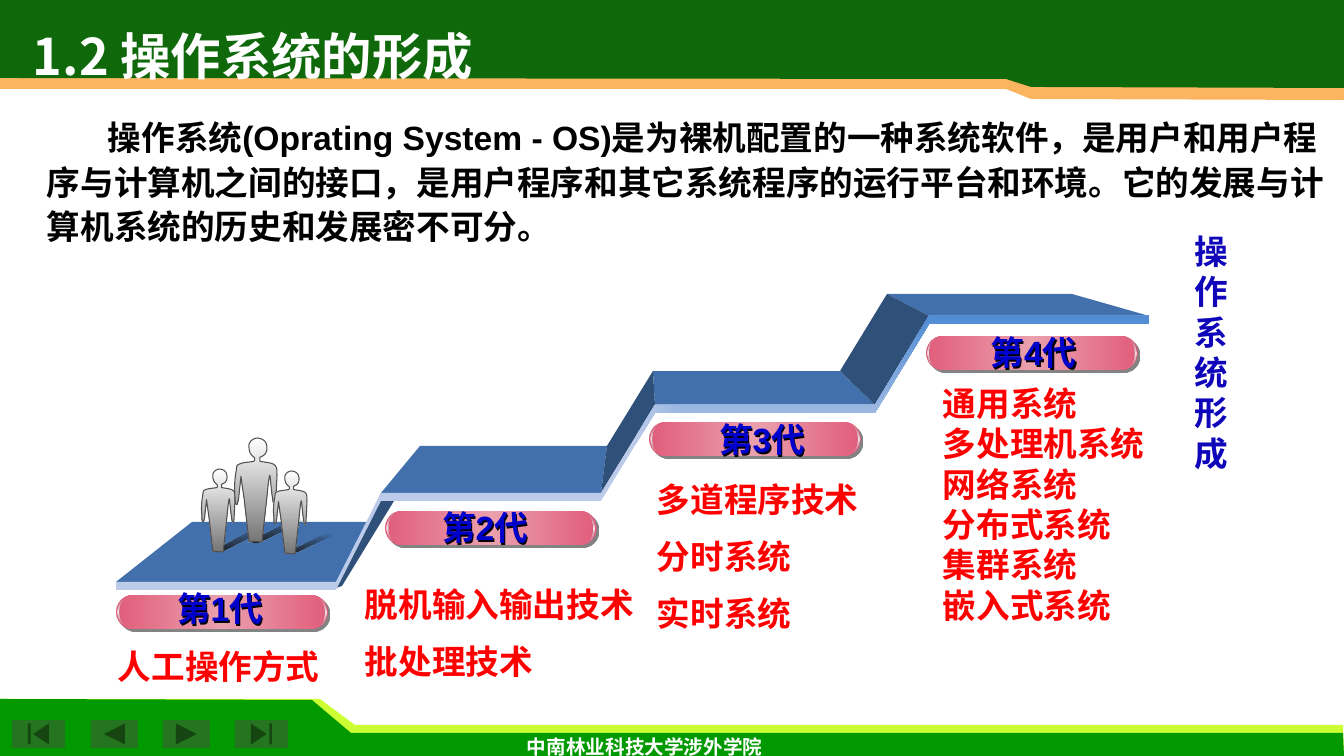
from dataclasses import dataclass

from lxml import etree
from pptx import Presentation
from pptx.dml.color import RGBColor
from pptx.enum.shapes import MSO_SHAPE
from pptx.enum.text import PP_ALIGN
from pptx.oxml.ns import qn
from pptx.util import Pt

EMU_PER_PX = 12192000 / 1344
PILL, MOON = MSO_SHAPE.ROUNDED_RECTANGLE, MSO_SHAPE.MOON
FIRST, PREVIOUS = MSO_SHAPE.ACTION_BUTTON_BEGINNING, MSO_SHAPE.ACTION_BUTTON_BACK_OR_PREVIOUS
NEXT, LAST = MSO_SHAPE.ACTION_BUTTON_FORWARD_OR_NEXT, MSO_SHAPE.ACTION_BUTTON_END
LEFT, CENTER = PP_ALIGN.LEFT, PP_ALIGN.CENTER


@dataclass(frozen=True)
class Theme:
    latin: str = "Arial"
    chinese: str = "Noto Sans CJK SC"
    title: int = 36
    body: int = 24
    footer: int = 14
    white: str = "FFFFFF"
    black: str = "000000"
    red: str = "FF0000"
    label: str = "0000CC"
    side: str = "0F06BA"
    header: str = "0F690B"
    orange: str = "FBB561"
    lime: str = "CCFF33"
    green: str = "009900"
    button: str = "25741F"
    tread: str = "4270AC"
    riser: str = "2F5078"
    outline: str = "505050"
    pill_shadow: str = "080808"
    # Gradient stops: position, colour, opacity
    edge: tuple = ((0, "518CD3", 100), (100, "BCCBE9", 100))
    body_metal: tuple = ((0, "FFFFFF", 100), (100, "767676", 100))
    cast: tuple = ((0, "181818", 0), (100, "1C1C1C", 100))
    pill: tuple = ((0, "E15D7C", 100), (50, "EAA0AD", 100), (100, "E15D7C", 100))
    gloss: tuple = ((0, "B6B6B6", 0), (50, "FFFFFF", 84), (100, "B6B6B6", 0))


def px(value):
    return round(value * EMU_PER_PX)


def child(parent, tag, **attributes):
    return etree.SubElement(parent, qn(tag), {key: str(value) for key, value in attributes.items()})


def cast_shadow(shape, color, opacity, distance):
    shape.shadow.inherit = False
    effects = shape._element.spPr.find(qn("a:effectLst"))
    shadow = child(effects, "a:outerShdw", blurRad=0, dist=distance, dir=2700000, algn="ctr")
    child(child(shadow, "a:srgbClr", val=color), "a:alpha", val=opacity * 1000)


def flatten(outline, steps=6):
    """Turn pairs (lines) and sextuples (cubic curves) into a list of points."""
    points = []
    for part in outline:
        if len(part) == 2:
            points.append(part)
            continue
        knots = [points[-1], part[:2], part[2:4], part[4:]]
        for step in range(1, steps + 1):
            t = step / steps
            weights = ((1 - t) ** 3, 3 * t * (1 - t) ** 2, 3 * t * t * (1 - t), t ** 3)
            points.append(tuple(sum(w * knot[axis] for w, knot in zip(weights, knots))
                                for axis in (0, 1)))
    return points


class Page:
    def __init__(self, deck, theme):
        self.theme = theme
        self.shapes = deck.slides.add_slide(deck.slide_layouts[6]).shapes

    def paint(self, shape, fill, angle=90, corner=False):
        shape.shadow.inherit = False
        shape.line.fill.background()
        shape.fill.solid()
        if isinstance(fill, str):
            shape.fill.fore_color.rgb = RGBColor.from_string(fill)
            return shape
        gradient = etree.Element(qn("a:gradFill"), rotWithShape="1")
        stops = child(gradient, "a:gsLst")
        for position, color, opacity in fill:
            stop = child(stops, "a:gs", pos=position * 1000)
            child(child(stop, "a:srgbClr", val=color), "a:alpha", val=opacity * 1000)
        if corner:
            child(child(gradient, "a:path", path="rect"), "a:fillToRect", l=100000, b=100000)
        else:
            child(gradient, "a:lin", ang=angle * 60000, scaled=0)
        solid = shape._element.spPr.find(qn("a:solidFill"))
        solid.getparent().replace(solid, gradient)
        return shape

    def polygon(self, points, fill, corner=False):
        points = [(px(x), px(y)) for x, y in points]
        builder = self.shapes.build_freeform(*points[0])
        builder.add_line_segments(points[1:], close=True)
        return self.paint(builder.convert_to_shape(), fill, corner=corner)

    def figure(self, outline, left, top, width, height, fill):
        points = flatten(outline)
        wide, tall = (max(axis) for axis in zip(*points))
        return self.polygon([(left + x * width / wide, top + y * height / tall)
                             for x, y in points], fill)

    def preset(self, kind, left, top, width, height, fill, angle=90, adjust=None):
        shape = self.shapes.add_shape(kind, px(left), px(top), px(width), px(height))
        if adjust is not None:
            shape.adjustments[0] = adjust
        return self.paint(shape, fill, angle)

    def badge(self, left, top):
        pill = self.preset(PILL, left, top, 212, 34, self.theme.pill, 0, 0.5)
        cast_shadow(pill, self.theme.pill_shadow, 50, Pt(2.8))
        self.preset(MOON, left + 201, top + 3, 9, 29, self.theme.gloss, 90, 0.22).rotation = 180
        self.preset(MOON, left + 2, top + 3, 9, 28, self.theme.gloss, 90, 0.22)

    def text(self, lines, left, top, width, height, color, size=None, align=LEFT,
             gap=0, leading=1.2, indent=0, wrap=True, latin=None):
        size = size or self.theme.body
        box = self.shapes.add_textbox(px(left), px(top), px(width), px(height))
        frame = box.text_frame
        frame.word_wrap = wrap
        frame.margin_top = frame.margin_bottom = px(5)
        for number, line in enumerate(lines):
            para = frame.paragraphs[0] if number == 0 else frame.add_paragraph()
            para.alignment = align
            para.line_spacing = Pt(round(size * leading, 1))
            para.space_before = Pt(gap if number else 0)
            if indent:
                para._p.get_or_add_pPr().set("indent", str(px(indent)))
            span = para.add_run()
            span.text = line
            font = span.font
            font.size, font.bold = Pt(size), True
            font.color.rgb = RGBColor.from_string(color)
            font.name = latin or self.theme.latin
            properties = span._r.get_or_add_rPr()
            properties.set("lang", "zh-CN")
            east = etree.Element(qn("a:ea"), typeface=self.theme.chinese)
            properties.find(qn("a:latin")).addnext(east)
        return box


# Outlines in hundredths of an inch
PERSON = [(20, 19), (17, 17, 15, 14, 15, 9), (14, 5, 18, 0, 24, 0), (30, 1, 33, 4, 33, 10),
          (33, 16, 29, 18, 26, 19), (26, 20, 26, 22, 26, 23), (29, 24, 38, 24, 41, 27),
          (43, 29, 43, 32, 43, 37), (42, 58), (42, 63, 41, 67, 41, 66), (39, 67, 39, 61, 38, 56),
          (36, 37), (35, 37, 34, 47, 33, 58), (28, 103), (15, 102), (10, 59),
          (8, 46, 7, 38, 7, 38), (5, 56), (5, 61, 3, 66, 3, 66), (1, 66, 1, 61, 1, 55),
          (0, 50, 1, 39, 2, 34), (3, 29, 2, 27, 5, 26), (8, 24, 17, 24, 20, 23),
          (21, 22, 21, 20, 20, 19)]
CAST_SHADOW = [(0, 24), (9, 25), (46, 5), (52, 1, 46, 2, 45, 1), (43, 1, 42, 0, 34, 4)]

# Front edge of each step: left, right, top
STEPS = [(116, 336, 582), (381, 601, 493), (655, 875, 405), (929, 1149, 316)]
# Back edge of each step: left, right, height
BACKS = [(192, 370, 522), (420, 607, 446), (653, 840, 371), (887, 1072, 294)]
EDGE = 8

# Badge left and top, then label left, top and width
GENERATIONS = [(116, 595, 117, 583, 206), (385, 511, 391, 502, 188),
               (649, 422, 664, 414, 196), (926, 336, 934, 327, 199)]
# Lines, left, top, width, height, gap between paragraphs
FEATURES = [
    (["人工操作方式"], 108, 641, 253, 50, 0),
    (["脱机输入输出技术", "批处理技术"], 355, 579, 308, 112, 12),
    (["多道程序技术", "分时系统", "实时系统"], 647, 474, 271, 173, 12),
    (["通用系统", "多处理机系统", "网络系统", "分布式系统", "集群系统", "嵌入式系统"],
     933, 378, 241, 254, 0),
]
INTRO = ("操作系统(Oprating System - OS)是为裸机配置的一种系统软件，是用户和用户程序与计算机之间的接口，"
         "是用户程序和其它系统程序的运行平台和环境。它的发展与计算机系统的历史和发展密不可分。")


def main():
    deck = Presentation()
    deck.slide_width, deck.slide_height = px(1344), px(756)
    theme = Theme()
    page = Page(deck, theme)

    # Footer and header bands
    page.polygon([(0, 699), (320, 699), (355, 725), (1343, 725), (1344, 754), (0, 754)], theme.lime)
    page.polygon([(0, 699), (312, 700), (351, 733), (1343, 733), (1344, 756), (0, 756)], theme.green)
    for kind, left, width in ((FIRST, 12, 53), (PREVIOUS, 91, 47), (NEXT, 163, 47), (LAST, 235, 53)):
        page.preset(kind, left, 720, width, 28, theme.button)
    page.polygon([(0, 4), (1344, 4), (1344, 100), (1031, 99), (1006, 89), (0, 89)], theme.orange)
    page.polygon([(0, 0), (1344, 0), (1344, 88), (1031, 87), (1006, 79), (0, 78)], theme.header)
    page.text(["中南林业科技大学涉外学院"], 517, 730, 258, 34, theme.white, theme.footer, wrap=False)
    page.text(["1.2 操作系统的形成"], 3, 20, 500, 70, theme.white, theme.title, CENTER,
              latin=theme.chinese)
    page.text([INTRO], 37, 108, 1301, 141, theme.black, leading=1.32, indent=61)

    # Staircase: treads, risers, front edge
    for (left, right, top), (back_left, back_right, back) in zip(STEPS, BACKS):
        page.polygon([(left, top), (back_left, back), (back_right, back), (right, top)], theme.tread)
    page.polygon([(336, 588), (342, 586), (394, 501), (381, 493)], theme.riser)
    for lower in (1, 2):
        _, right, top = STEPS[lower]
        next_left, _, next_top = STEPS[lower + 1]
        _, back_right, back = BACKS[lower]
        next_back_left, _, next_back = BACKS[lower + 1]
        page.polygon([(right, top), (back_right, back), (next_back_left, next_back),
                      (next_left, next_top)], theme.riser)
    upper = [(x, top) for left, right, top in STEPS for x in (left, right)]
    lower_edge = [(x, y + EDGE) for x, y in reversed(upper)]
    page.polygon(upper + lower_edge, theme.edge, corner=True)

    # People and their shadows
    for place in ((213, 527, 51, 25), (248, 518, 56, 25), (285, 533, 47, 21)):
        page.figure(CAST_SHADOW, *place, theme.cast)
    for place in ((201, 469, 34, 83), (234, 438, 43, 104), (273, 471, 34, 83)):
        person = page.figure(PERSON, *place, theme.body_metal)
        person.line.color.rgb = RGBColor.from_string(theme.outline)
        person.line.width = Pt(0.75)

    # Generations and their features
    for number, (left, top, label_left, label_top, label_width) in enumerate(GENERATIONS, 1):
        page.badge(left, top)
        label = page.text([f"第{number}代"], label_left, label_top, label_width, 50, theme.label,
                          align=CENTER)
        cast_shadow(label, theme.black, 100, Pt(1.5))
    for lines, left, top, width, height, gap in FEATURES:
        page.text(lines, left, top, width, height, theme.red, gap=gap)
    page.text(["操作系统形成"], 1185, 226, 52, 254, theme.side)

    deck.save("out.pptx")


if __name__ == "__main__":
    main()
